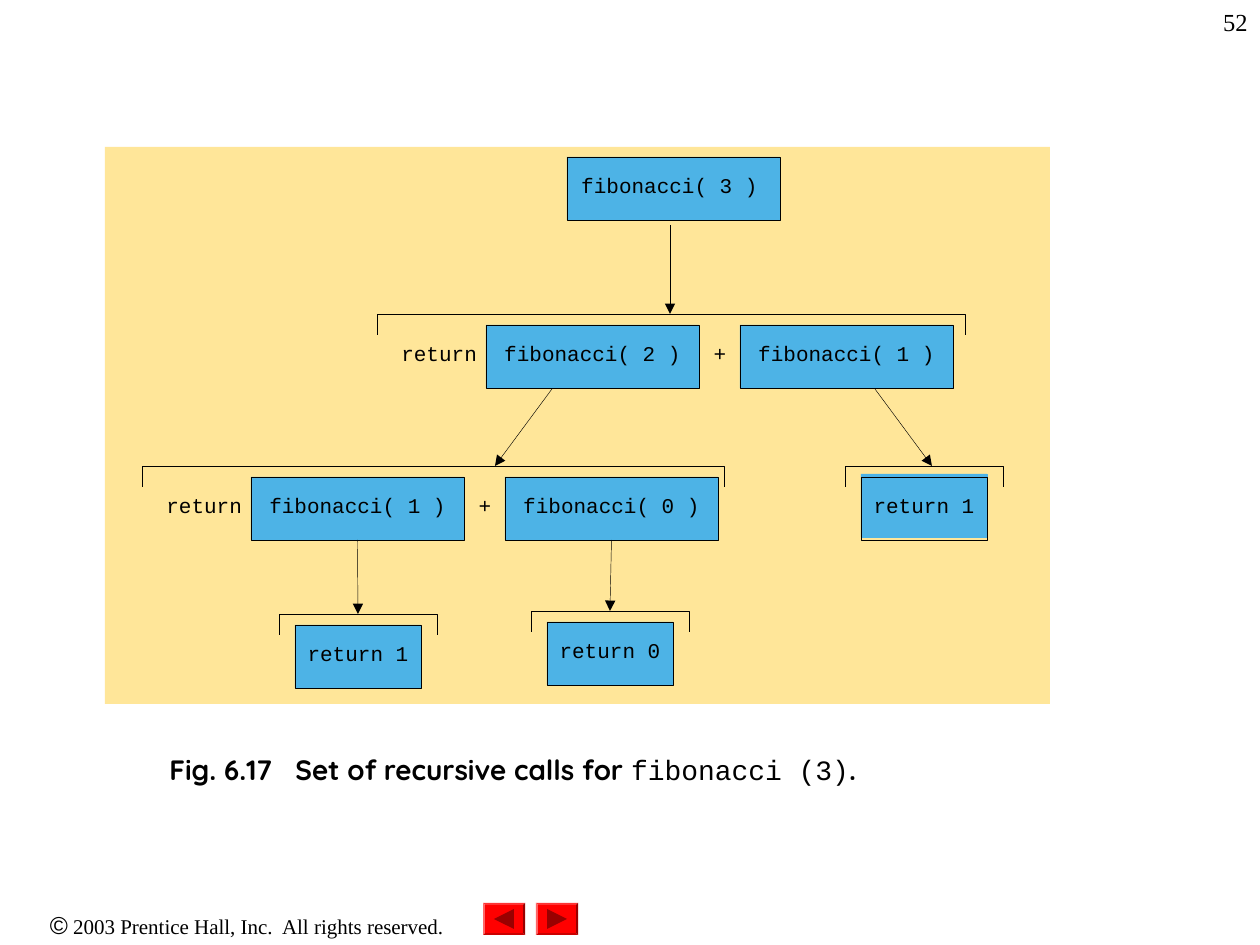
from lxml.etree import SubElement
from pptx import Presentation
from pptx.dml.color import RGBColor
from pptx.enum.shapes import MSO_CONNECTOR as Link, MSO_SHAPE as Kind
from pptx.enum.text import MSO_ANCHOR as Anchor, PP_ALIGN as Align
from pptx.oxml.ns import qn
from pptx.util import Emu, Pt

BLACK = RGBColor(0x00, 0x00, 0x00)
SAND = RGBColor(0xFF, 0xE6, 0x99)
BLUE = RGBColor(0x4D, 0xB3, 0xE6)
RED = RGBColor(0xFF, 0x00, 0x00)
MAROON = RGBColor(0x99, 0x00, 0x00)
CODE = "Courier New"
SERIF = "Times New Roman"
HAIR = Pt(0.25)
CALL_W, ANSWER_W, BOX_H = 213, 126, 63


def px(n):
    return Emu(round(n * 914400 / 126))


def style(run, size, name, bold=False):
    font = run.font
    font.size, font.name, font.bold = Pt(size), name, bold
    font.color.rgb = BLACK


def block(slide, kind, x, y, w, h, fill=None, line=None):
    shape = slide.shapes.add_shape(kind, px(x), px(y), px(w), px(h))
    shape.shadow.inherit = False
    if fill is None:
        shape.fill.background()
    else:
        shape.fill.solid()
        shape.fill.fore_color.rgb = fill
    if line is None:
        shape.line.fill.background()
    else:
        shape.line.color.rgb = line
        shape.line.width = HAIR
    return shape


def margins(frame, left=0, top=0, right=0, bottom=0):
    frame.margin_left, frame.margin_top = px(left), px(top)
    frame.margin_right, frame.margin_bottom = px(right), px(bottom)


def code(frame, text, align):
    """Set one line of tight monospaced text."""
    frame.word_wrap = False
    frame.vertical_anchor = Anchor.TOP
    frame.text = text
    para = frame.paragraphs[0]
    para.alignment = align
    para.line_spacing = 0.8
    style(para.runs[0], 12, CODE)


def box(slide, x, y, w, text, fill=BLUE, pad=0):
    shape = block(slide, Kind.RECTANGLE, x, y, w, BOX_H, fill, BLACK)
    margins(shape.text_frame, top=20, right=pad)
    code(shape.text_frame, text, Align.CENTER)
    return shape


def label(slide, x, y, w, text, align):
    area = slide.shapes.add_textbox(px(x), px(y), px(w), px(36))
    margins(area.text_frame)
    code(area.text_frame, text, align)


def bracket(slide, x, y, w):
    low = px(y + 21)
    path = slide.shapes.build_freeform(px(x), low, scale=1.0)
    path.add_line_segments(
        [(px(x), px(y)), (px(x + w), px(y)), (px(x + w), low)], close=False)
    shape = path.convert_to_shape()
    shape.shadow.inherit = False
    shape.fill.background()
    shape.line.color.rgb = BLACK
    shape.line.width = HAIR


def arrow(slide, x1, y1, x2, y2, start=None):
    """Draw an arrow, joined to the bottom of start if one is given."""
    link = slide.shapes.add_connector(
        Link.STRAIGHT, px(x1), px(y1), px(x2), px(y2))
    if start is not None:
        link.begin_connect(start, 2)
    link.line.color.rgb = BLACK
    link.line.width = HAIR
    SubElement(link.line._get_or_add_ln(), qn("a:tailEnd"), type="triangle")
    SubElement(link._element.spPr, qn("a:effectLst"))


def split(slide, x, y, w, first, second):
    """Draw a bracket over the sum of two calls; return both boxes."""
    bracket(slide, x, y, w)
    label(slide, x + 10, y + 31, 90, "return", Align.RIGHT)
    label(slide, x + 330, y + 31, 26, "+", Align.CENTER)
    return [box(slide, x + dx, y + 11, CALL_W, text)
            for dx, text in ((109, first), (363, second))]


def answer(slide, x, y, text, lift=0):
    """Draw a bracket over a result, whose fill may sit above its frame."""
    bracket(slide, x, y, ANSWER_W + 32)
    left, top = x + 16, y + 11
    if lift:
        block(slide, Kind.RECTANGLE, left, top - lift, ANSWER_W, BOX_H,
              BLUE, BLUE)
    box(slide, left, top, ANSWER_W, text, None if lift else BLUE)


def tree(slide, x, y, w, h):
    block(slide, Kind.RECTANGLE, x, y, w, h, SAND)
    box(slide, x + 462, y + 10, CALL_W, "fibonacci( 3 )", pad=8)
    arrow(slide, x + 565, y + 78, x + 565, y + 167)
    split(slide, x + 272, y + 167, 588, "fibonacci( 2 )", "fibonacci( 1 )")
    arrow(slide, x + 447, y + 242, x + 390, y + 319)
    arrow(slide, x + 770, y + 242, x + 827, y + 319)
    calls = split(slide, x + 37, y + 319, 582,
                  "fibonacci( 1 )", "fibonacci( 0 )")
    answer(slide, x + 740, y + 319, "return 1", lift=3)
    ends = ((174, 467, "return 1"), (426, 464, "return 0"))
    for call, (dx, dy, text) in zip(calls, ends):
        mid = x + dx + 79
        answer(slide, x + dx, y + dy, text)
        arrow(slide, mid, y + 393, mid, y + dy, call)


def prose(slide, x, y, w, h, parts, align=Align.LEFT, tab=None):
    """Place one paragraph of (text, size, font, bold) parts."""
    area = slide.shapes.add_textbox(px(x), px(y), px(w), px(h))
    frame = area.text_frame
    frame.word_wrap = True
    para = frame.paragraphs[0]
    para.alignment = align
    if tab:
        stops = SubElement(para._p.get_or_add_pPr(), qn("a:tabLst"))
        SubElement(stops, qn("a:tab"), pos=str(px(tab)), algn="l")
    for text, *look in parts:
        run = para.add_run()
        run.text = text
        style(run, *look)


def button(slide, x, y, turn):
    """Draw a bevelled button with a triangle turned to its direction."""
    face = block(slide, Kind.BEVEL, x, y, 42, 32, RED)
    face.adjustments[0] = 0.06
    mark = block(slide, Kind.ISOSCELES_TRIANGLE, x + 11, y + 6, 20, 20, MAROON)
    mark.rotation = turn


def footer(slide, x, y):
    prose(slide, x, y, 494, 43, [
        ("©", 14, "Arial"),
        (" 2003 Prentice Hall, Inc.  All rights reserved.", 12, SERIF),
    ], Align.CENTER)
    button(slide, x + 483, y - 1, 270)
    button(slide, x + 536, y - 1, 90)


def main():
    deck = Presentation()
    deck.slide_width, deck.slide_height = px(1260), px(945)
    slide = deck.slides.add_slide(deck.slide_layouts[6])
    footer(slide, 0, 904)
    prose(slide, 157, 746, 998, 47, [
        ("Fig. 6.17\tSet of recursive calls for ", 16, "Quicksand", True),
        ("fibonacci (3)", 16, CODE),
        (".", 16, "Quicksand", True),
    ], tab=126)
    tree(slide, 105, 147, 945, 557)
    prose(slide, 998, 1, 262, 63, [("52", 14, SERIF)], Align.RIGHT)
    deck.save("out.pptx")


if __name__ == "__main__":
    main()
